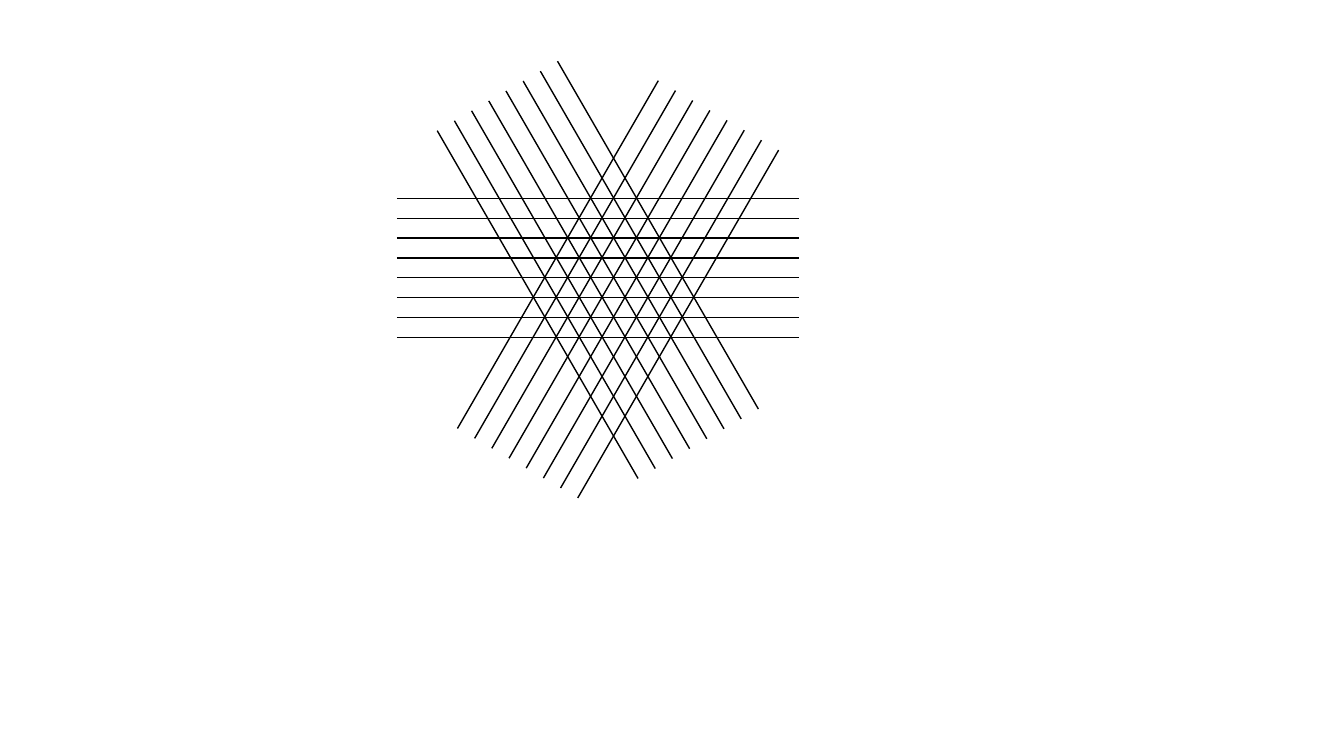
from math import cos, radians, sin

from lxml import etree
from pptx import Presentation
from pptx.dml.color import RGBColor
from pptx.enum.shapes import MSO_CONNECTOR as Connector
from pptx.oxml.ns import qn
from pptx.util import Cm, Inches, Pt

# Square grid: neighbouring strands lie one cell apart
CELL = Cm(0.5)
STRANDS = 8
STRAND_LENGTH = 20.24

# Each band: angle in degrees, centre column, centre row
BANDS = [
    (0, 30.12, 13.5),
    (60, 30.12, 13.6),
    (120, 31.14, 14.58),
]


def cells(count):
    return round(count * CELL)


def paint(line, color):
    line.color.rgb = RGBColor.from_string(color)


def add_strand(band, start, end):
    points = [cells(value) for value in (*start, *end)]
    strand = band.shapes.add_connector(Connector.STRAIGHT, *points)
    paint(strand.line, "000000")
    strand.line.width = Pt(1)
    etree.SubElement(strand._element.spPr, qn("a:effectLst"))


def add_band(slide, angle, column, row):
    """Group parallel strands, spread evenly across the band's centre."""
    along_x, along_y = cos(radians(angle)), sin(radians(angle))
    half_x, half_y = along_x * STRAND_LENGTH / 2, along_y * STRAND_LENGTH / 2
    band = slide.shapes.add_group_shape()
    for index in range(STRANDS):
        offset = index - (STRANDS - 1) / 2
        middle_x = column - offset * along_y
        middle_y = row + offset * along_x
        add_strand(
            band,
            (middle_x - half_x, middle_y - half_y),
            (middle_x + half_x, middle_y + half_y),
        )


def main():
    deck = Presentation()
    deck.slide_width, deck.slide_height = Inches(13.33), Inches(7.5)
    slide = deck.slides.add_slide(deck.slide_layouts.get_by_name("Blank"))

    # Three crossing bands form the lattice
    for angle, column, row in BANDS:
        add_band(slide, angle, column, row)

    deck.save("out.pptx")


if __name__ == "__main__":
    main()
